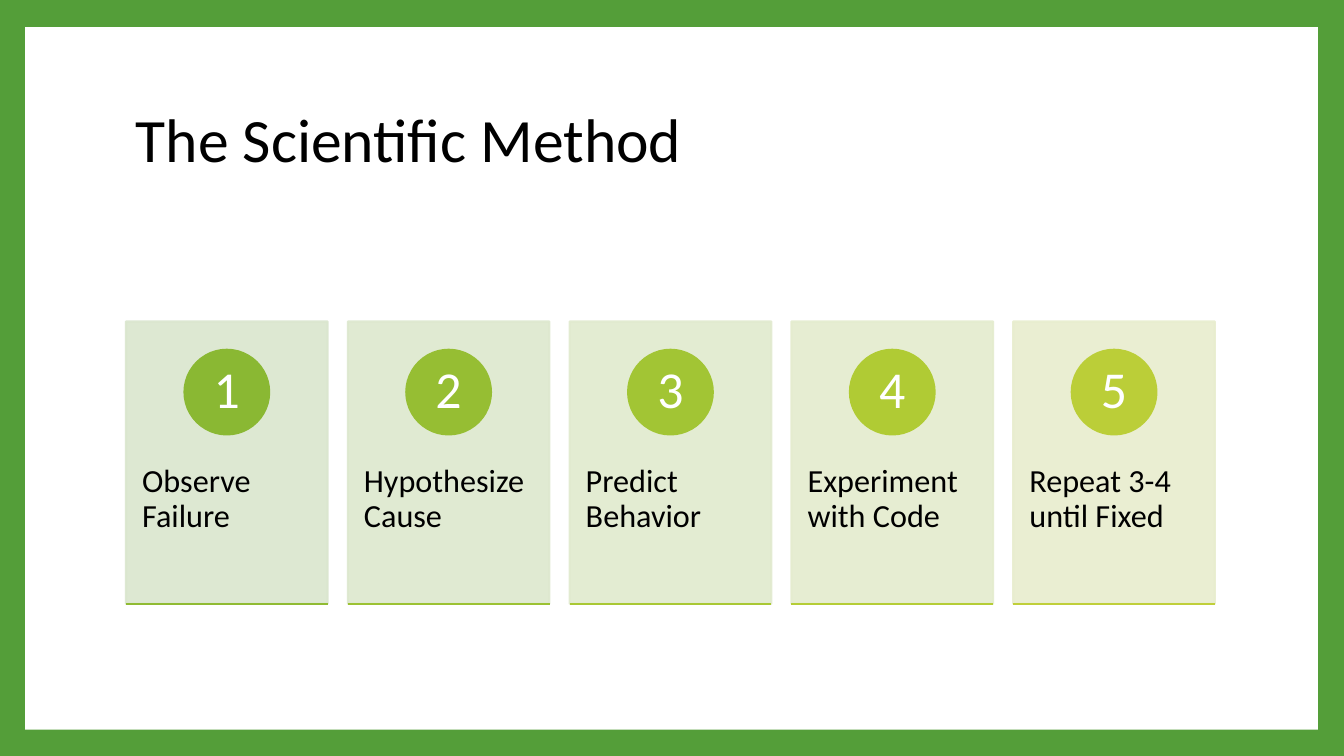
from pptx import Presentation
from pptx.dml.color import RGBColor
from pptx.enum.shapes import MSO_CONNECTOR as Link, MSO_SHAPE as Shape
from pptx.enum.text import MSO_ANCHOR as Anchor, PP_ALIGN as Align
from pptx.oxml.ns import qn
from pptx.oxml.xmlchemy import OxmlElement
from pptx.util import Inches, Pt

TITLE = "The Scientific Method"
# label, card colour, badge colour, rule colour
STEPS = [
    ("Observe Failure", "DAE6CE", "8AB833", "90BB33"),
    ("Hypothesize Cause", "DDE8CE", "96BE33", "9CC233"),
    ("Predict Behavior", "E1EACE", "A2C534", "A9C834"),
    ("Experiment with Code", "E4ECCE", "B0CB34", "B5CD36"),
    ("Repeat 3-4 until Fixed", "E8EDCE", "BBCE38", "C0CF3A"),
]
GREEN, WHITE, BLACK = "549E39", "FFFFFF", "000000"
FONT = "Calibri"

WIDE, HIGH = 13.33, 7.5
LEFT, SPAN = 1.25, 10.8
CARD_W, CARD_H, CARD_TOP = 2, 2.8, 3.19
PITCH = (SPAN - CARD_W) / (len(STEPS) - 1)
BADGE, BADGE_TOP = 0.84, 3.47
LABEL_TOP = 4.61


def color(code):
    return RGBColor.from_string(code)


def write(shape, text, size, ink=BLACK, align=Align.LEFT,
          anchor=Anchor.MIDDLE, pad=(0.1, 0.05, 0.1, 0.05)):
    """Fill a shape with one paragraph; pad is left, top, right, bottom."""
    frame = shape.text_frame
    frame.word_wrap = True
    frame.vertical_anchor = anchor
    (frame.margin_left, frame.margin_top,
     frame.margin_right, frame.margin_bottom) = map(Inches, pad)
    para = frame.paragraphs[0]
    para.text = text
    para.alignment = align
    para.line_spacing = 0.9
    font = para.runs[0].font
    font.name, font.size = FONT, Pt(size)
    font.color.rgb = color(ink)


def draw(slide, kind, box, fill, line=True, alpha=None):
    shape = slide.shapes.add_shape(kind, *map(Inches, box))
    shape.shadow.inherit = False
    shape.fill.solid()
    shape.fill.fore_color.rgb = color(fill)
    if line:
        shape.line.color.rgb = color(fill)
        shape.line.width = Pt(1.5)
    else:
        shape.line.fill.background()
    if alpha:
        for tint in shape._element.spPr.iter(qn("a:srgbClr")):
            node = OxmlElement("a:alpha")
            node.set("val", str(alpha * 1000))
            tint.append(node)
    return shape


def rule(slide, x, y, width, ink):
    line = slide.shapes.add_connector(
        Link.STRAIGHT, *map(Inches, (x, y, x + width, y)))
    line.line.color.rgb = color(ink)
    line.line.width = Pt(1.5)
    line._element.spPr.append(OxmlElement("a:effectLst"))


def main():
    deck = Presentation()
    deck.slide_width, deck.slide_height = Inches(WIDE), Inches(HIGH)
    slide = deck.slides.add_slide(deck.slide_layouts[6])
    back = slide.background.fill
    back.solid()
    back.fore_color.rgb = color(GREEN)
    draw(slide, Shape.RECTANGLE, (0.25, 0.27, 12.82, 6.97), WHITE, line=False)

    title = slide.shapes.add_textbox(*map(Inches, (LEFT, 0.67, SPAN, 1.48)))
    write(title, TITLE, 44)

    for i, (label, pale, bright, edge) in enumerate(STEPS):
        x = LEFT + i * PITCH
        card = draw(slide, Shape.RECTANGLE,
                    (x, CARD_TOP, CARD_W, CARD_H), pale, alpha=90)
        write(card, label, 23, anchor=Anchor.TOP,
              pad=(0.16, LABEL_TOP - CARD_TOP, 0.16, 0.42))
        badge = draw(slide, Shape.OVAL,
                     (x + (CARD_W - BADGE) / 2, BADGE_TOP, BADGE, BADGE), bright)
        write(badge, str(i + 1), 37, ink=WHITE, align=Align.CENTER,
              pad=(0.07, 0.01, 0.07, 0.01))
        rule(slide, x, CARD_TOP + CARD_H, CARD_W, edge)

    deck.save("out.pptx")


if __name__ == "__main__":
    main()
